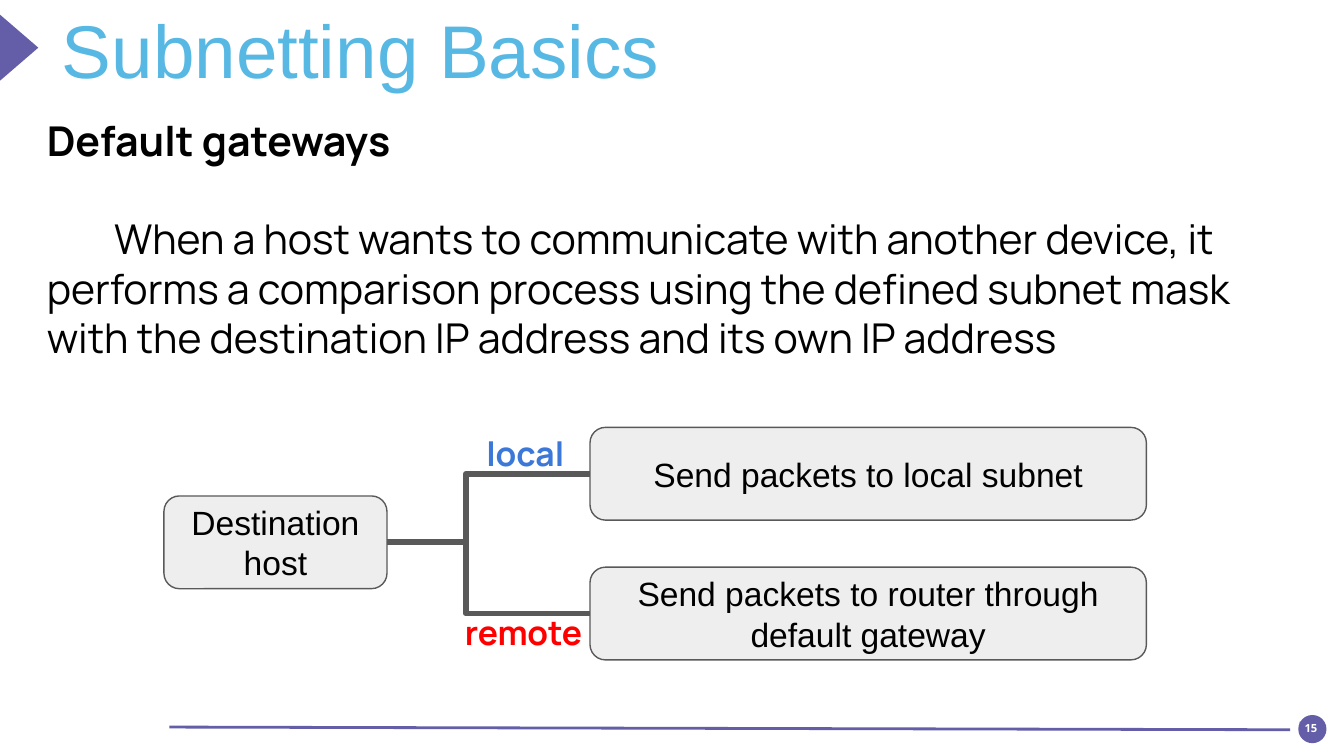
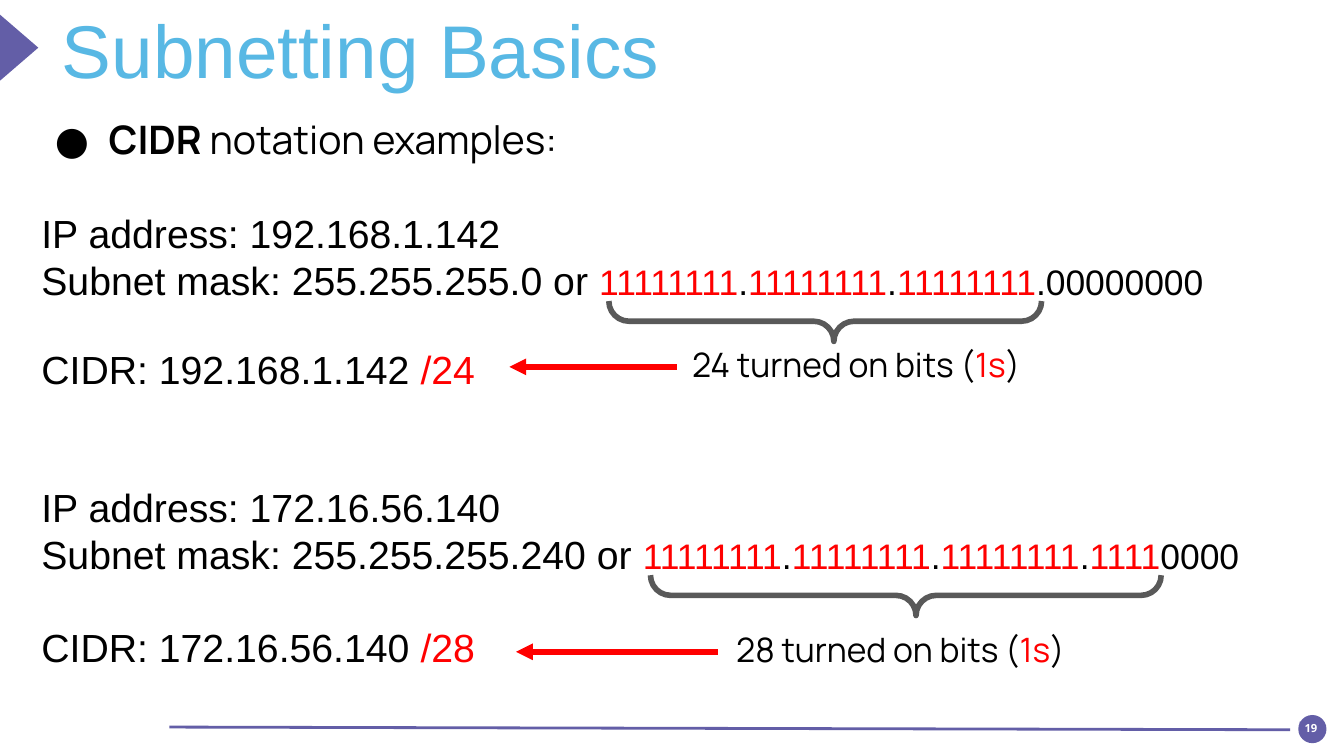
from itertools import groupby

from lxml.etree import SubElement
from pptx import Presentation
from pptx.dml.color import RGBColor
from pptx.enum.shapes import MSO_CONNECTOR, MSO_SHAPE
from pptx.enum.text import MSO_ANCHOR, PP_ALIGN
from pptx.oxml.ns import qn
from pptx.util import Inches, Pt

COLORS = {
    "brand": "635EA7",
    "title": "58B8E4",
    "black": "000000",
    "white": "FFFFFF",
    "red": "FF0000",
    "blue": "3C78D8",
    "box": "EEEEEE",
    "line": "595959",
}


def write(frame, text, size=18, font="Arial", color="black", bold=False,
          align=PP_ALIGN.LEFT, before=0, indent=0, bullet=None, inset=0.1):
    """Add a paragraph; text is a string or a list of (string, changes) runs."""
    frame.word_wrap = True
    frame.margin_left = frame.margin_right = Inches(inset)
    frame.margin_top = frame.margin_bottom = Inches(inset)
    para = frame.paragraphs[0]
    if para.runs:
        para = frame.add_paragraph()
    para.alignment = align
    para.space_before = Pt(before)
    props = para._p.get_or_add_pPr()
    if indent:
        props.set("indent", str(Inches(indent)))
    if bullet:
        props.set("marL", str(Inches(0.5)))
        tint = SubElement(props, qn("a:buClr"))
        SubElement(tint, qn("a:srgbClr"), val=COLORS[color])
        SubElement(props, qn("a:buFont"), typeface=font)
        SubElement(props, qn("a:buChar"), char=bullet)
    for words, change in [(text, {})] if isinstance(text, str) else text:
        run = para.add_run()
        run.text = words
        run.font.name = font
        run.font.size = Pt(change.get("size", size))
        run.font.bold = change.get("bold", bold)
        tint = COLORS[change.get("color", color)]
        run.font.color.rgb = RGBColor.from_string(tint)


def link(slide, ends, color, width, kind=MSO_CONNECTOR.STRAIGHT):
    """Add a connector without shadow between two points."""
    wire = slide.shapes.add_connector(kind, *[Inches(n) for n in ends])
    wire.line.color.rgb = RGBColor.from_string(COLORS[color])
    wire.line.width = Pt(width)
    SubElement(wire._element.spPr, qn("a:effectLst"))
    return wire


deck = Presentation()
deck.slide_width = Inches(10)
deck.slide_height = deck.slide_width * 9 // 16

# Shared frame: page badge, footer rule, title marker and title
pages = []
for num in ("15", "19"):
    page = deck.slides.add_slide(deck.slide_layouts[6])
    pages.append(page)
    for kind, spot, turn in (
        (MSO_SHAPE.OVAL, (9.66, 5.32, 0.21, 0.21), 0),
        (MSO_SHAPE.RECTANGLE, (9.67, 5.37, 0.17, 0.1), 0),
        (MSO_SHAPE.ISOSCELES_TRIANGLE, (-0.11, 0.21, 0.5, 0.29), 90),
    ):
        mark = page.shapes.add_shape(kind, *[Inches(n) for n in spot])
        mark.shadow.inherit = False
        mark.fill.solid()
        mark.fill.fore_color.rgb = RGBColor.from_string(COLORS["brand"])
        mark.line.fill.background()
        mark.rotation = turn
        if kind == MSO_SHAPE.RECTANGLE:
            mark.text_frame.vertical_anchor = MSO_ANCHOR.TOP
            write(mark.text_frame, num, size=6, font="Open Sans",
                  color="white", bold=True, align=PP_ALIGN.CENTER, inset=0)
    link(page, (9.6, 5.43, 1.26, 5.41), "brand", 1.5)
    title = page.shapes.add_textbox(
        Inches(0.46), Inches(0.03), Inches(8.99), Inches(0.69))
    write(title.text_frame, "Subnetting Basics", size=40, color="title", inset=0)

gate, cidr = pages

# Default gateways
body = gate.shapes.add_textbox(
    Inches(0.25), Inches(0.76), Inches(9.59), Inches(3.77)).text_frame
write(body, "Default gateways", size=22, font="Manrope", bold=True)
write(body, "When a host wants to communicate with another device, it performs "
      "a comparison process using the defined subnet mask with the destination "
      "IP address and its own IP address",
      size=22, font="Manrope", before=26.3, indent=0.5)

nodes = []
for left, top, width, label in (
    (1.22, 3.69, 1.66, "Destination host"),
    (4.39, 3.18, 4.14, "Send packets to local subnet"),
    (4.39, 4.22, 4.14, "Send packets to router through default gateway"),
):
    node = gate.shapes.add_shape(
        MSO_SHAPE.ROUNDED_RECTANGLE,
        Inches(left), Inches(top), Inches(width), Inches(0.69))
    node.shadow.inherit = False
    node.fill.solid()
    node.fill.fore_color.rgb = RGBColor.from_string(COLORS["box"])
    node.line.color.rgb = RGBColor.from_string(COLORS["line"])
    node.line.width = Pt(0.75)
    node.text_frame.vertical_anchor = MSO_ANCHOR.MIDDLE
    write(node.text_frame, label, align=PP_ALIGN.CENTER)
    nodes.append(node)

host, *goals = nodes
for goal in goals:
    wire = link(gate, (0, 0, 1, 1), "line", 3, MSO_CONNECTOR.ELBOW)
    wire.begin_connect(host, 3)
    wire.end_connect(goal, 1)
    shape = wire._element.spPr.find(qn("a:prstGeom"))
    bend = shape.find(qn("a:avLst"))
    SubElement(bend, qn("a:gd"), name="adj1", fmla="val 38800")

for left, top, width, label, color in (
    (3.36, 4.45, 1.28, "remote", "red"),
    (3.52, 3.12, 1.03, "local", "blue"),
):
    tag = gate.shapes.add_textbox(
        Inches(left), Inches(top), Inches(width), Inches(0.27))
    write(tag.text_frame, label, font="Manrope", color=color, bold=True)

# CIDR examples
body = cidr.shapes.add_textbox(
    Inches(0.21), Inches(0.76), Inches(9.34), Inches(3.77)).text_frame
write(body, [("CIDR ", {"bold": True}), ("notation examples:", {})],
      size=21, font="Manrope", indent=-0.4, bullet="●")

ones = "11111111." * 3
for addr, mask, bits, count, gaps, brace, note, arrow in (
    ("192.168.1.142", "255.255.255.0", ones + "00000000", 24, (25, 22.5),
     (5.99, 0.78, 3.22), (4.89, 2.46), (3.79, 2.73, 5.04, 2.73)),
    ("172.16.56.140", "255.255.255.240", ones + "11110000", 28, (48.5, 25),
     (6.59, 2.53, 3.8), (5.22, 4.58), (3.84, 4.85, 5.34, 4.85)),
):
    runs = [("".join(part), {"size": 19, "color": "red" if on else "black"})
            for on, part in groupby(bits, lambda bit: bit == "1")]
    write(body, f"IP address: {addr}", size=21, before=gaps[0])
    write(body, [(f"Subnet mask: {mask} or ", {})] + runs, size=21)
    write(body, [(f"CIDR: {addr} ", {}), (f"/{count}", {"color": "red"})],
          size=21, before=gaps[1])

    left, top, span = brace
    curve = cidr.shapes.add_shape(
        MSO_SHAPE.LEFT_BRACE, Inches(left), Inches(top), Inches(0.3), Inches(span))
    curve.shadow.inherit = False
    curve.rotation = 270
    curve.adjustments[0], curve.adjustments[1] = 0.5, 0.52
    curve.fill.background()
    curve.line.color.rgb = RGBColor.from_string(COLORS["line"])
    curve.line.width = Pt(3)

    left, top = note
    tag = cidr.shapes.add_textbox(
        Inches(left), Inches(top), Inches(2.96), Inches(0.41))
    write(tag.text_frame,
          [(f"{count} turned on bits (", {}), ("1s", {"color": "red"}), (")", {})],
          font="Manrope", align=PP_ALIGN.CENTER)

    wire = link(cidr, arrow, "red", 3)
    stroke = wire._element.spPr.find(qn("a:ln"))
    SubElement(stroke, qn("a:headEnd"), type="triangle")

deck.save("out.pptx")
